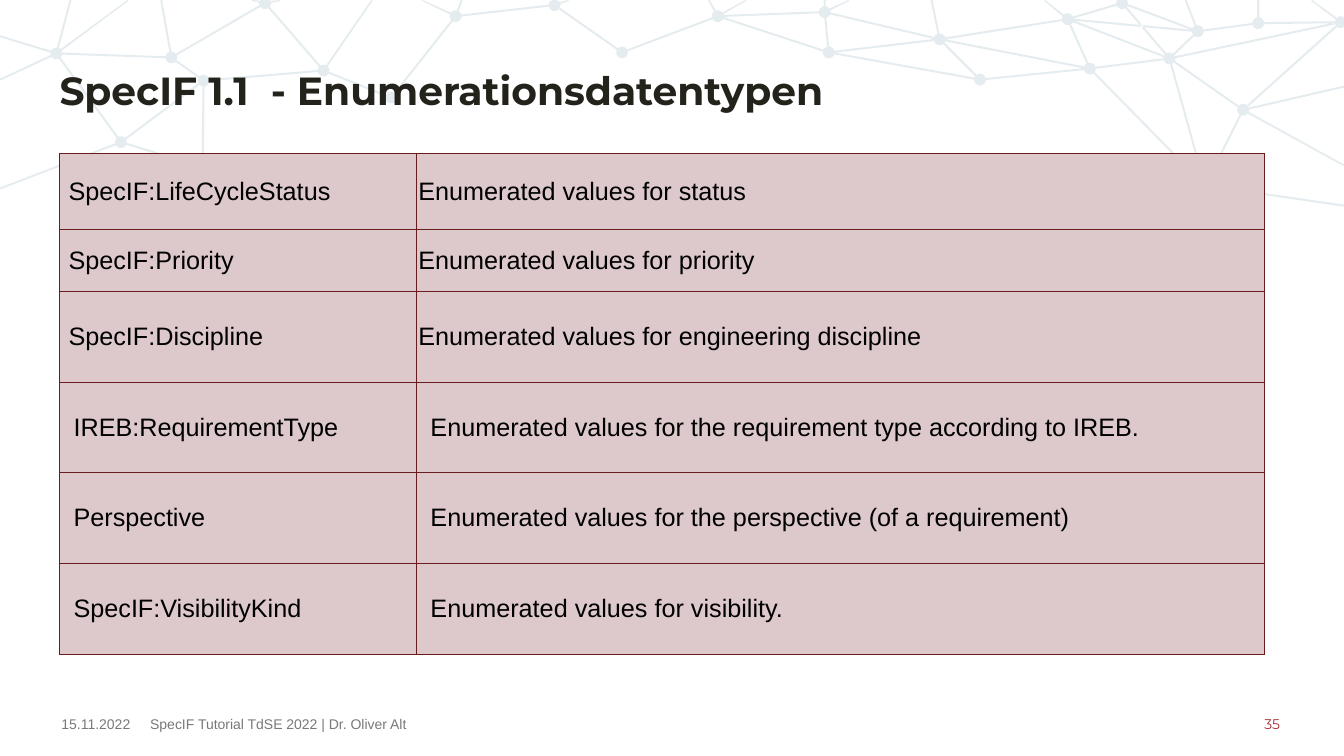
"""Builds the slide listing the SpecIF 1.1 enumeration data types."""
from dataclasses import dataclass
from math import cos, dist, pi, sin

from lxml.etree import SubElement
from pptx import Presentation
from pptx.dml.color import RGBColor
from pptx.enum.text import MSO_ANCHOR as Anchor, PP_ALIGN as Align
from pptx.oxml.ns import qn
from pptx.util import Inches, Pt

TITLE = "SpecIF 1.1  - Enumerationsdatentypen"
DATE, EVENT, PAGE = "15.11.2022", "SpecIF Tutorial TdSE 2022 | Dr. Oliver Alt", "35"

TIGHT, ROOMY = ((0.09, 0.02), 0.01), ((0.14, 0.14), 0.06)
DATA_TYPES = [
    ("SpecIF:LifeCycleStatus", "Enumerated values for status", 0.76, TIGHT),
    ("SpecIF:Priority", "Enumerated values for priority", 0.61, TIGHT),
    ("SpecIF:Discipline", "Enumerated values for engineering discipline", 0.9, TIGHT),
    ("IREB:RequirementType",
     "Enumerated values for the requirement type according to IREB.", 0.9, ROOMY),
    ("Perspective", "Enumerated values for the perspective (of a requirement)", 0.9, ROOMY),
    ("SpecIF:VisibilityKind", "Enumerated values for visibility.", 0.9, ROOMY),
]
COLUMN_WIDTHS = (3.54, 8.41)

NODES = {
    "a": (0.56, 0.53), "b": (1.2, 1.41), "c": (1.7, 0.57), "d": (2.02, 0.8),
    "e": (2.01, 1.66), "f": (2.63, 0.03), "g": (3.21, 0.7), "h": (3.88, 0.97),
    "i": (4.52, 0.16), "j": (5.5, 0.05), "k": (6.17, 0.52), "l": (7.12, 0.16),
    "m": (8.18, 0.12), "n": (8.22, 0.52), "o": (9.32, 0.39), "p": (9.72, 0.79),
    "q": (10.59, 0.19), "r": (10.81, 0.68), "s": (11.6, 0.58), "t": (11.88, 0.31),
    "u": (11.13, 0.03), "v": (12.48, 0.23), "w": (13.3, 0.22), "x": (12.33, 1.09),
    "y": (11.95, 1.84),
}
LINKS = ("ab ac bd be cd cf de dg fg gh hi ij jk kl lm ln mn mo no np oq op or pr "
         "qr qs qu qt ut us rs ry sy st sx sw tv vw wx xy").split()
EDGE_EXITS = {
    "a": [(0.7, 0), (1.27, 0), (0, 0.36), (0, 0.79)], "b": [(0, 1.87)],
    "c": [(1.6, 0)], "f": [(2.5, 0), (2.78, 0)], "g": [(3.69, 0)],
    "i": [(4.19, 0), (4.58, 0)], "j": [(5.64, 0)], "l": [(7.03, 0), (7.4, 0)],
    "m": [(8.18, 0), (8.42, 0)], "o": [(9.24, 0)], "q": [(10.36, 0)],
    "t": [(11.76, 0)], "v": [(12.48, 0)], "w": [(13.01, 0)],
    "x": [(13.33, 0.86), (13.33, 1.64)], "y": [(13.33, 2.04)],
}
NODE_RADIUS, NODE_CORNERS, LINK_WIDTH = 0.06, 10, 0.02
SLIDE_WIDTH, SLIDE_HEIGHT = 13.33, 7.5
LEFT, TABLE_TOP, FOOTER_TOP, FOOTER_HEIGHT = 0.59, 1.52, 7.06, 0.24


@dataclass(frozen=True)
class Theme:
    """Colours, fonts and type sizes."""
    network: str = "054B67"
    network_opacity: int = 10
    title: str = "23221B"
    body: str = "000000"
    footer: str = "797979"
    page: str = "A52F33"
    cell: str = "DDC9CC"
    border: str = "681C1E"
    heading_font: str = "Montserrat"
    body_font: str = "Arial"
    title_size: int = 28
    body_size: int = 18
    footer_size: int = 10
    border_width: float = 0.75


THEME = Theme()


def rgb(colour):
    return RGBColor.from_string(colour)


def style(paragraph, font_name, size, colour, bold=False):
    for run in paragraph.runs:
        run.font.name, run.font.size, run.font.bold = font_name, Pt(size), bold
        run.font.color.rgb = rgb(colour)


def add_label(slide, text, box, font_name, size, colour, bold=False,
              anchor=Anchor.MIDDLE, align=Align.LEFT, wrap=False):
    frame = slide.shapes.add_textbox(*map(Inches, box)).text_frame
    frame.margin_left = frame.margin_right = frame.margin_top = frame.margin_bottom = 0
    frame.word_wrap, frame.vertical_anchor = wrap, anchor
    frame.text = text
    paragraph = frame.paragraphs[0]
    paragraph.alignment = align
    style(paragraph, font_name, size, colour, bold)
    return paragraph


def node_outline(x, y):
    turns = [2 * pi * corner / NODE_CORNERS for corner in range(NODE_CORNERS)]
    return [(x + NODE_RADIUS * cos(turn), y + NODE_RADIUS * sin(turn)) for turn in turns]


def link_outline(start, end, end_gap):
    length = dist(start, end)
    along_x, along_y = ((b - a) / length for a, b in zip(start, end))
    half = LINK_WIDTH / 2
    corners = [(NODE_RADIUS, half), (length - end_gap, half),
               (length - end_gap, -half), (NODE_RADIUS, -half)]
    return [(start[0] + far * along_x - side * along_y,
             start[1] + far * along_y + side * along_x) for far, side in corners]


def on_slide(point):
    x, y = point
    return Inches(min(max(x, 0), SLIDE_WIDTH)), Inches(max(y, 0))


def add_network(slide):
    outlines = [node_outline(*center) for center in NODES.values()]
    outlines += [link_outline(NODES[start], NODES[end], NODE_RADIUS) for start, end in LINKS]
    outlines += [link_outline(NODES[node], point, 0)
                 for node, points in EDGE_EXITS.items() for point in points]
    contours = [list(map(on_slide, outline)) for outline in outlines]
    builder = slide.shapes.build_freeform(*contours[0][0])
    for contour in contours:
        if contour is not contours[0]:
            builder.move_to(*contour[0])
        builder.add_line_segments(contour[1:], close=True)
    network = builder.convert_to_shape()
    network.shadow.inherit = False
    network.fill.solid()
    network.fill.fore_color.rgb = rgb(THEME.network)
    colour = network._element.spPr.find(qn("a:solidFill")).find(qn("a:srgbClr"))
    SubElement(colour, qn("a:alpha"), val=str(THEME.network_opacity * 1000))
    network.line.fill.background()


def add_borders(cell):
    properties = cell._tc.get_or_add_tcPr()
    for position, side in enumerate(("lnL", "lnR", "lnT", "lnB")):
        border = properties.makeelement(qn(f"a:{side}"), {"w": str(Pt(THEME.border_width))})
        fill = SubElement(border, qn("a:solidFill"))
        SubElement(fill, qn("a:srgbClr"), val=THEME.border)
        properties.insert(position, border)


def add_data_types(slide):
    height = sum(row_height for _, _, row_height, _ in DATA_TYPES)
    box = (LEFT, TABLE_TOP, sum(COLUMN_WIDTHS), height)
    table = slide.shapes.add_table(
        len(DATA_TYPES), len(COLUMN_WIDTHS), *map(Inches, box)).table
    table.first_row = table.horz_banding = False
    for column, width in zip(table.columns, COLUMN_WIDTHS):
        column.width = Inches(width)
    for row, (name, meaning, row_height, (indents, padding)) in zip(table.rows, DATA_TYPES):
        row.height = Inches(row_height)
        for cell, text, indent in zip(row.cells, (name, meaning), indents):
            cell.margin_left, cell.margin_right = Inches(indent), Inches(indents[1])
            cell.margin_top = cell.margin_bottom = Inches(padding)
            cell.vertical_anchor = Anchor.MIDDLE
            cell.fill.solid()
            cell.fill.fore_color.rgb = rgb(THEME.cell)
            add_borders(cell)
            cell.text_frame.text = text
            style(cell.text_frame.paragraphs[0], THEME.body_font, THEME.body_size, THEME.body)


def main():
    deck = Presentation()
    deck.slide_width, deck.slide_height = Inches(SLIDE_WIDTH), Inches(SLIDE_HEIGHT)
    slide = deck.slides.add_slide(deck.slide_layouts[6])
    add_network(slide)
    title = add_label(slide, TITLE, (LEFT, 0.71, 12.15, 0.71), THEME.heading_font,
                      THEME.title_size, THEME.title, bold=True, anchor=Anchor.TOP, wrap=True)
    title.line_spacing = 0.9
    footers = [
        (DATE, LEFT, 0.72, THEME.body_font, THEME.footer, Align.CENTER),
        (EVENT, 1.49, 4.97, THEME.body_font, THEME.footer, Align.LEFT),
        (PAGE, 12.54, 0.2, THEME.heading_font, THEME.page, Align.LEFT),
    ]
    for text, left, width, font_name, colour, align in footers:
        add_label(slide, text, (left, FOOTER_TOP, width, FOOTER_HEIGHT), font_name,
                  THEME.footer_size, colour, align=align)
    add_data_types(slide)
    deck.save("out.pptx")


if __name__ == "__main__":
    main()
